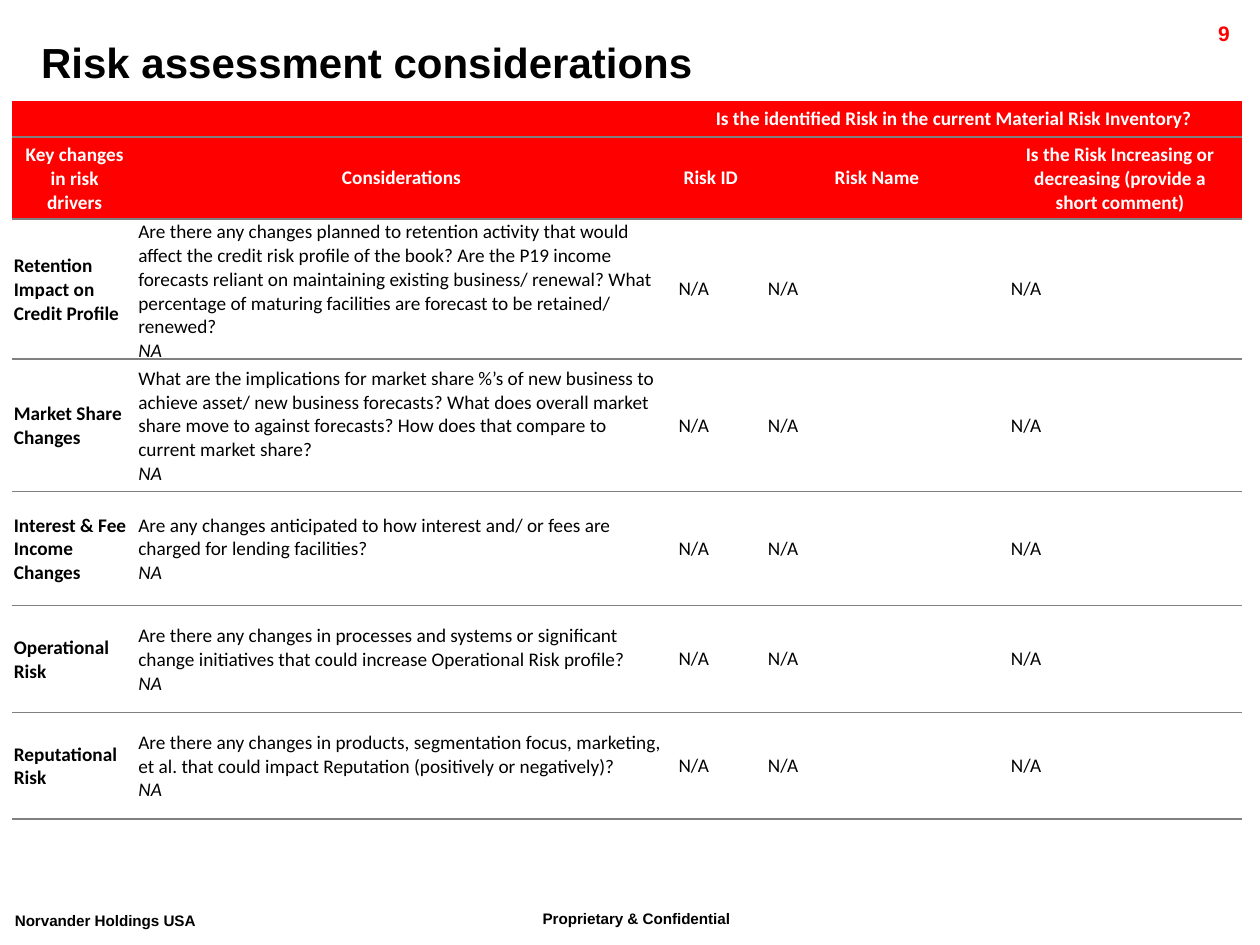
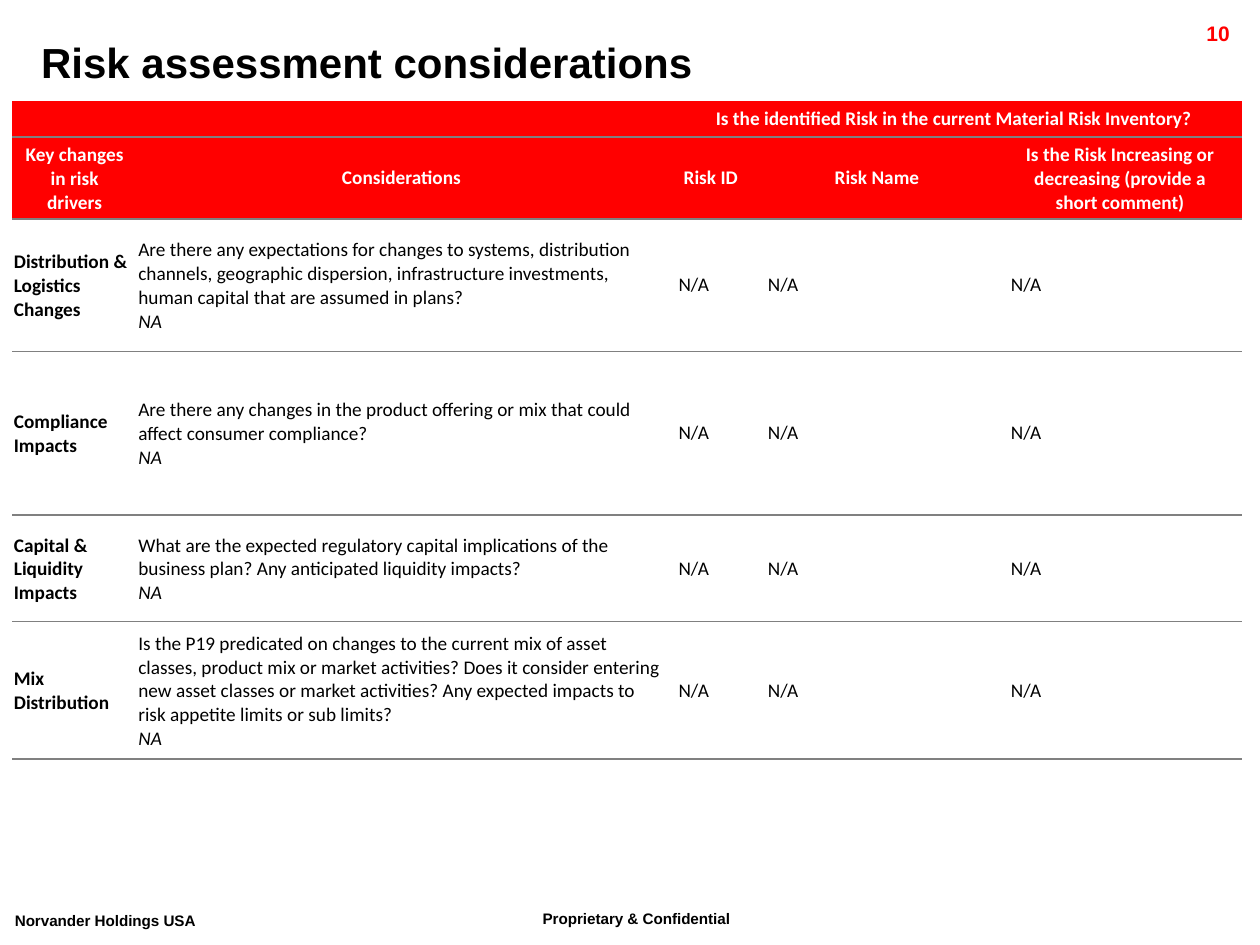
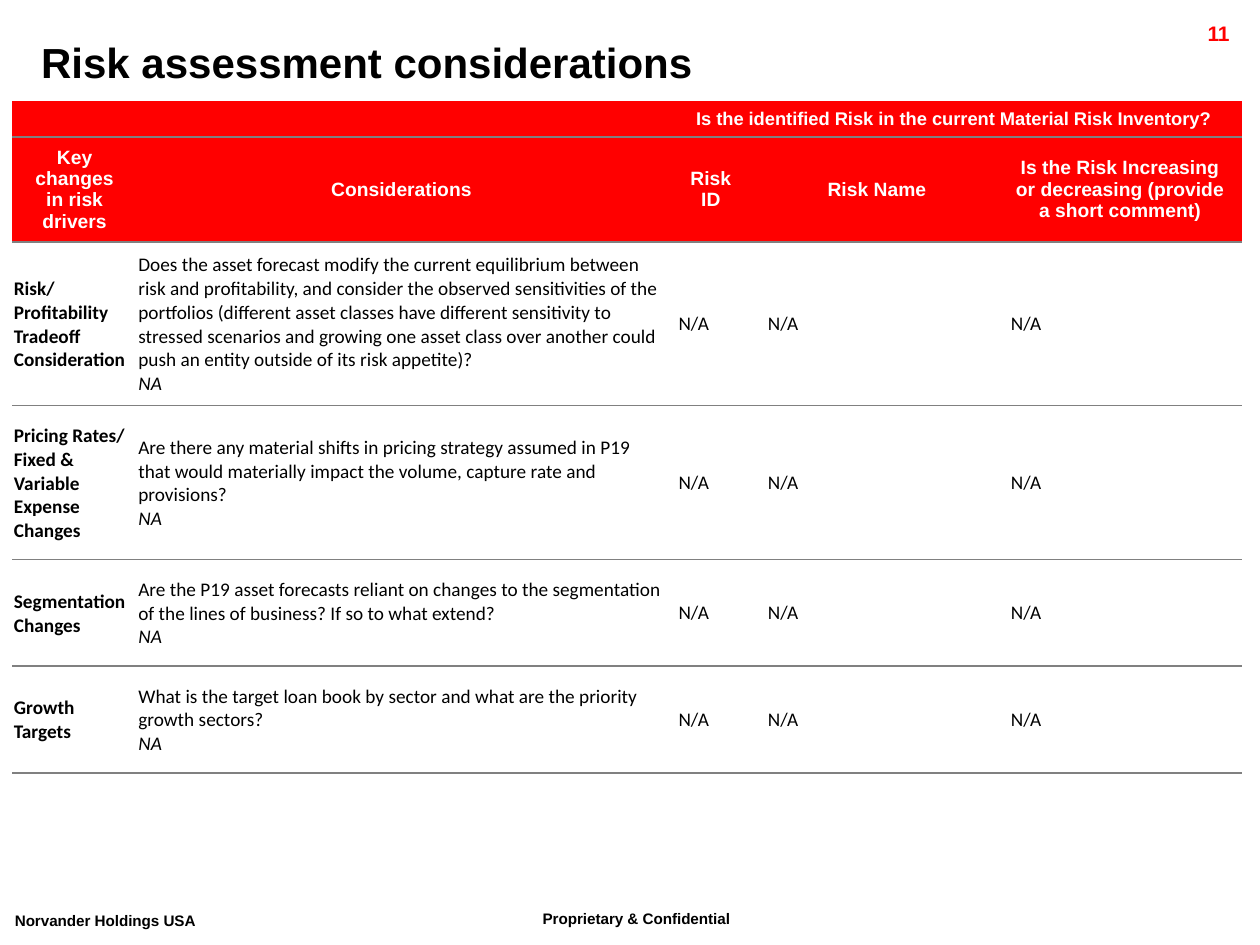
from dataclasses import dataclass

from lxml import etree
from pptx import Presentation
from pptx.dml.color import RGBColor
from pptx.enum.text import MSO_ANCHOR, PP_ALIGN
from pptx.oxml.ns import qn
from pptx.util import Cm, Pt

LEFT, CENTER, RIGHT = PP_ALIGN.LEFT, PP_ALIGN.CENTER, PP_ALIGN.RIGHT
MIDDLE = MSO_ANCHOR.MIDDLE
PLAIN_TABLE_STYLE = "{2D5ABB26-0587-4C30-8999-92F81FD0307C}"


@dataclass(frozen=True)
class Theme:
    red: RGBColor = RGBColor(0xFF, 0x00, 0x00)
    white: RGBColor = RGBColor(0xFF, 0xFF, 0xFF)
    black: RGBColor = RGBColor(0x00, 0x00, 0x00)
    rule: RGBColor = RGBColor(0x80, 0x80, 0x80)
    heading_font: str = "Arial"
    table_font: str = "Calibri"
    title_size: float = 24
    footer_size: float = 15
    number_size: float = 12
    table_size: float = 11
    banner_size: float = 10.5


THEME = Theme()

TITLE = "Risk assessment considerations"
BANNER = "Is the identified Risk in the current Material Risk Inventory?"
HEADINGS = ["Key changes in risk drivers", "Considerations", "Risk ID", "Risk Name",
            "Is the Risk Increasing or decreasing (provide a short comment)"]
COLUMN_WIDTHS = [2.51, 10.67, 1.8, 4.9, 4.9]
BANNER_HEIGHT = 0.73

# Each page: number, header font, banner size, heading row height,
# then the drivers as (row height, driver, consideration).
PAGES = [
    (9, THEME.table_font, THEME.table_size, 1.65, [
        (2.82, "Retention Impact on Credit Profile",
         "Are there any changes planned to retention activity that would affect the credit risk "
         "profile of the book? Are the P19 income forecasts reliant on maintaining existing "
         "business/ renewal? What percentage of maturing facilities are forecast to be retained/ "
         "renewed?"),
        (2.67, "Market Share Changes",
         "What are the implications for market share %’s of new business to achieve asset/ new "
         "business forecasts? What does overall market share move to against forecasts? How does "
         "that compare to current market share?"),
        (2.3, "Interest & Fee Income Changes",
         "Are any changes anticipated to how interest and/ or fees are charged for lending "
         "facilities?"),
        (2.15, "Operational Risk",
         "Are there any changes in processes and systems or significant change initiatives that "
         "could increase Operational Risk profile?"),
        (2.15, "Reputational Risk",
         "Are there any changes in products, segmentation focus, marketing, et al. that could "
         "impact Reputation (positively or negatively)?"),
    ]),
    (10, THEME.table_font, THEME.table_size, 1.65, [
        (2.67, "Distribution & Logistics Changes",
         "Are there any expectations for changes to systems, distribution channels, geographic "
         "dispersion, infrastructure investments, human capital that are assumed in plans?"),
        (3.3, "Compliance Impacts",
         "Are there any changes in the product offering or mix that could affect consumer "
         "compliance?"),
        (2.15, "Capital & Liquidity Impacts",
         "What are the expected regulatory capital implications of the business plan? Any "
         "anticipated liquidity impacts?"),
        (2.77, "Mix Distribution",
         "Is the P19 predicated on changes to the current mix of asset classes, product mix or "
         "market activities? Does it consider entering new asset classes or market activities? "
         "Any expected impacts to risk appetite limits or sub limits?"),
    ]),
    (11, THEME.heading_font, THEME.banner_size, 2.1, [
        (3.3, "Risk/ Profitability Tradeoff Consideration",
         "Does the asset forecast modify the current equilibrium between risk and profitability, "
         "and consider the observed sensitivities of the portfolios (different asset classes have "
         "different sensitivity to stressed scenarios and growing one asset class over another "
         "could push an entity outside of its risk appetite)?"),
        (3.1, "Pricing Rates/ Fixed & Variable Expense Changes",
         "Are there any material shifts in pricing strategy assumed in P19 that would materially "
         "impact the volume, capture rate and provisions?"),
        (2.15, "Segmentation Changes",
         "Are the P19 asset forecasts reliant on changes to the segmentation of the lines of "
         "business? If so to what extend?"),
        (2.15, "Growth Targets",
         "What is the target loan book by sector and what are the priority growth sectors?"),
    ]),
]

# Text around the table: left, top, width, height, size, colour, alignment, raised baseline.
TITLE_BOX = (0.58, 0.61, 24.94, 1.27, THEME.title_size, THEME.black, LEFT, False)
NUMBER_BOX = (22.63, 0.28, 2.41, 0.61, THEME.number_size, THEME.red, RIGHT, False)
NOTICE_BOX = (10.69, 18.14, 5.54, 0.89, THEME.footer_size, THEME.black, LEFT, True)
COMPANY_BOX = (0.05, 18.19, 4.85, 0.89, THEME.footer_size, THEME.black, LEFT, True)


def add_label(slide, text, box):
    left, top, width, height, size, color, align, raised = box
    frame = slide.shapes.add_textbox(Cm(left), Cm(top), Cm(width), Cm(height)).text_frame
    frame.word_wrap = True
    frame.text = text
    paragraph = frame.paragraphs[0]
    paragraph.alignment = align
    run = paragraph.runs[0]
    run.font.name, run.font.size, run.font.bold = THEME.heading_font, Pt(size), True
    run.font.color.rgb = color
    if raised:
        run._r.get_or_add_rPr().set("baseline", "30000")


def fill_cell(cell, text, fill, color, align=LEFT, font=THEME.table_font,
              size=THEME.table_size, bold=False, margins=None):
    """Write and style one cell with a rule below it; margins are left, top, right, bottom."""
    properties = cell._tc.get_or_add_tcPr()
    rule = etree.SubElement(properties, qn("a:lnB"), w=str(Pt(1)))
    rule_fill = etree.SubElement(rule, qn("a:solidFill"))
    etree.SubElement(rule_fill, qn("a:srgbClr"), val=str(THEME.rule))
    cell.fill.solid()
    cell.fill.fore_color.rgb = fill
    cell.vertical_anchor = MIDDLE
    if margins:
        (cell.margin_left, cell.margin_top,
         cell.margin_right, cell.margin_bottom) = [Cm(margin) for margin in margins]
    cell.text_frame.text = text
    for paragraph in cell.text_frame.paragraphs:
        paragraph.alignment = align
        for run in paragraph.runs:
            run.font.name, run.font.size, run.font.bold = font, Pt(size), bold
            run.font.color.rgb = color
        if not paragraph.runs:
            etree.SubElement(paragraph._p, qn("a:endParaRPr"), sz=str(int(size * 100)))


prs = Presentation()
prs.slide_width, prs.slide_height = Cm(25.4), Cm(19.05)
blank_layout = prs.slide_layouts[6]

for number, header_font, banner_size, heading_height, drivers in PAGES:
    slide = prs.slides.add_slide(blank_layout)
    add_label(slide, "Proprietary & Confidential", NOTICE_BOX)
    add_label(slide, "Norvander Holdings USA", COMPANY_BOX)
    add_label(slide, str(number), NUMBER_BOX)
    add_label(slide, TITLE, TITLE_BOX)

    row_heights = [BANNER_HEIGHT, heading_height] + [height for height, _, _ in drivers]
    table = slide.shapes.add_table(
        len(row_heights), len(COLUMN_WIDTHS), Cm(0.25), Cm(2.03),
        Cm(sum(COLUMN_WIDTHS)), Cm(sum(row_heights))).table
    table.first_row = table.horz_banding = False
    table._tbl.tblPr.find(qn("a:tableStyleId")).text = PLAIN_TABLE_STYLE
    for column, width in zip(table.columns, COLUMN_WIDTHS):
        column.width = Cm(width)
    for row, height in zip(table.rows, row_heights):
        row.height = Cm(height)

    for column, heading in enumerate(HEADINGS):
        fill_cell(table.cell(0, column), BANNER if column == 2 else "", THEME.red, THEME.white,
                  CENTER, header_font, banner_size, bold=True)
        fill_cell(table.cell(1, column), heading, THEME.red, THEME.white,
                  CENTER, header_font, bold=True)
    table.cell(0, 0).merge(table.cell(0, 1))
    table.cell(0, 2).merge(table.cell(0, 4))

    for row, (_, driver, consideration) in enumerate(drivers, start=2):
        tight = (0.03, 0.03, 0.03, 0)
        fill_cell(table.cell(row, 0), driver, THEME.white, THEME.black, bold=True, margins=tight)
        question = table.cell(row, 1)
        fill_cell(question, f"{consideration}\nNA", THEME.white, THEME.black, margins=tight)
        question.text_frame.paragraphs[1].runs[0].font.italic = True
        for column in range(2, len(HEADINGS)):
            fill_cell(table.cell(row, column), "N/A", THEME.white, THEME.black,
                      margins=(0.25, 0.25, 0.25, 0.25))

prs.save("out.pptx")
